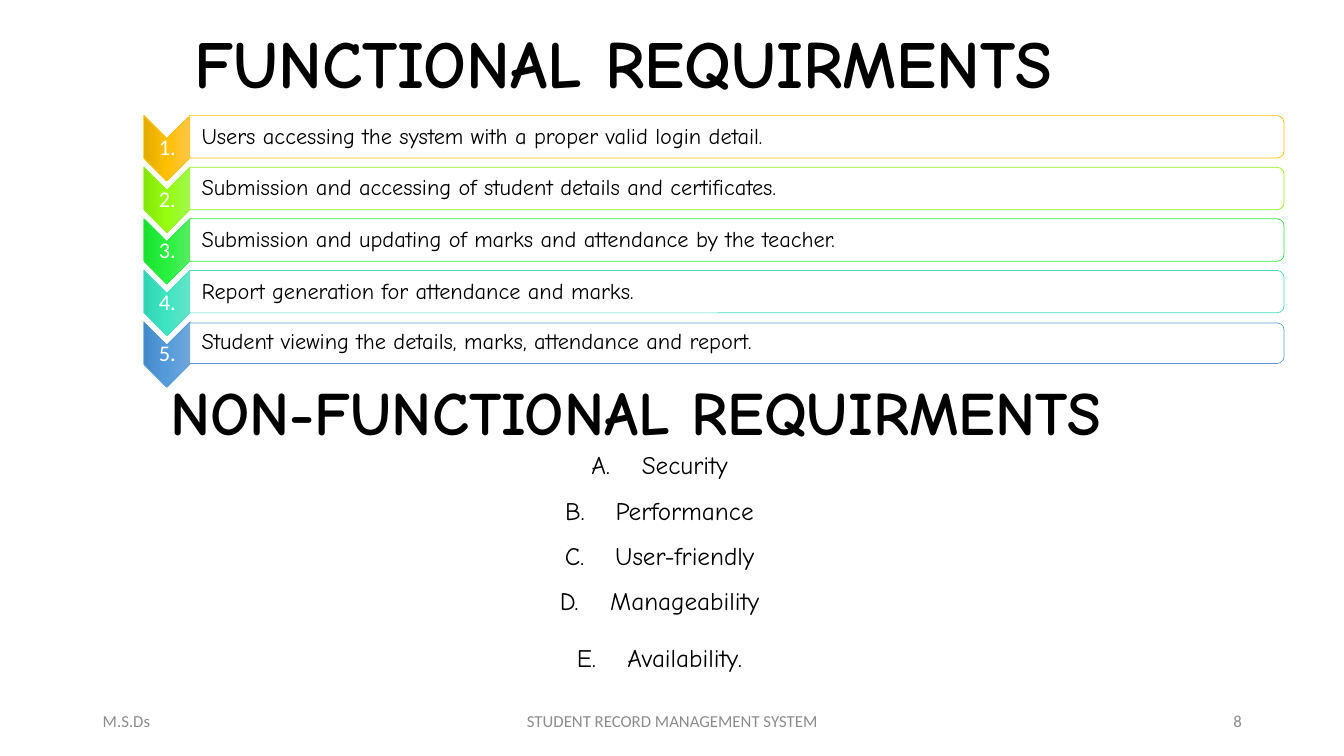
from copy import deepcopy

from pptx import Presentation
from pptx.dml.color import RGBColor
from pptx.enum.shapes import MSO_SHAPE
from pptx.enum.text import MSO_ANCHOR, MSO_AUTO_SIZE, PP_ALIGN
from pptx.oxml import parse_xml
from pptx.oxml.ns import nsdecls, qn
from pptx.util import Cm, Pt

CHEVRON, BAR = MSO_SHAPE.CHEVRON, MSO_SHAPE.ROUND_2_SAME_RECTANGLE
TOP, MIDDLE = MSO_ANCHOR.TOP, MSO_ANCHOR.MIDDLE
LEFT, CENTER, RIGHT = PP_ALIGN.LEFT, PP_ALIGN.CENTER, PP_ALIGN.RIGHT
NO_FIT = MSO_AUTO_SIZE.NONE

COLORS = {"text": "000000", "paper": "FFFFFF", "footer": "8C8C8C"}
HEADING_FONT, PLAIN_FONT = "Comic Neue", "Calibri"

STEPS = [
    ("Users accessing the system with a proper valid login detail.",
     "FFC000", ("FFC64B", "FFC000", "E3AB00")),
    ("Submission and accessing of student details and certificates.",
     "94F319", ("A0F74E", "96FE0E", "85E509")),
    ("Submission and updating of marks and attendance by the teacher.",
     "30E845", ("56EC62", "27F13E", "18E02F")),
    ("Report generation for attendance and marks.",
     "46DEBF", ("63E3C6", "3FE5C3", "2FD4B2")),
    ("Student viewing the details, marks, attendance and report.",
     "5B9BD5", ("71A6DB", "559BDB", "448ACA")),
]
QUALITIES = ["Security", "Performance", "User-friendly", "Manageability", "Availability."]
FOOTERS = [
    ("M.S.Ds", 2.34, 7.62, LEFT),
    ("STUDENT RECORD MANAGEMENT SYSTEM", 11.23, 11.43, CENTER),
    ("8", 23.93, 7.62, RIGHT),
]
STEP_PITCH = 1.3


def rgb(value):
    return RGBColor.from_string(value)


def apply(target, values):
    for name, value in values.items():
        setattr(target, name, value)


class SlideBuilder:
    def __init__(self, prs):
        self.slide = prs.slides.add_slide(prs.slide_layouts[1])

    def place(self, sp, box):
        apply(sp, dict(zip(("left", "top", "width", "height"), map(Cm, box))))

    def fill_text(self, sp, lines, size, font=HEADING_FONT, color="text", bold=False,
                  align=LEFT, spacing=0.9, anchor=TOP, insets=None):
        tf = sp.text_frame
        apply(tf, {"word_wrap": True, "auto_size": NO_FIT, "vertical_anchor": anchor})
        if insets:
            names = ("margin_left", "margin_top", "margin_right", "margin_bottom")
            apply(tf, dict(zip(names, map(Cm, insets))))
        tf.text = "\n".join(lines)
        for p in tf.paragraphs:
            apply(p, {"alignment": align, "line_spacing": spacing,
                      "space_before": Pt(0), "space_after": Pt(0)})
            for r in p.runs:
                apply(r.font, {"name": font, "size": Pt(size), "bold": bold})
                r.font.color.rgb = rgb(COLORS[color])
        return tf

    def text(self, box, line, size, **style):
        sp = self.slide.shapes.add_textbox(*map(Cm, box))
        self.fill_text(sp, [line], size, **style)

    def title(self, box, line, size):
        sp = self.slide.shapes.title
        self.place(sp, box)
        self.fill_text(sp, [line], size, bold=True)

    def lettered_list(self, box, lines, size):
        sp = self.slide.placeholders[1]
        self.place(sp, box)
        tf = self.fill_text(sp, lines, size, align=CENTER, spacing=1.5)
        for p in tf.paragraphs:
            pPr = p._p.get_or_add_pPr()
            pPr.set("marL", str(Cm(1.27)))
            pPr.set("indent", str(-Cm(1.27)))
            pPr.append(parse_xml(
                f'<a:buFont {nsdecls("a")} typeface="+mj-lt"/>'))
            pPr.append(parse_xml(
                f'<a:buAutoNum {nsdecls("a")} type="alphaUcPeriod"/>'))
        for p in tf.paragraphs[-2:]:
            p.space_after = Pt(8)

    def turned_shape(self, kind, box, line):
        sp = self.slide.shapes.add_shape(kind, *map(Cm, box))
        sp.rotation = 90
        sp.shadow.inherit = False
        sp.line.color.rgb = rgb(line)
        sp.line.width = Pt(0.5)
        return sp

    def chevron(self, box, line, shades):
        sp = self.turned_shape(CHEVRON, box, line)
        sp.fill.gradient()
        sp.fill.gradient_angle = 270
        gs_list = sp._element.spPr.find(".//" + qn("a:gsLst"))
        gs_list.append(deepcopy(gs_list[0]))
        for i, (stop, shade) in enumerate(zip(sp.fill.gradient_stops, shades)):
            stop.position = i / 2
            stop.color.rgb = rgb(shade)

    def bar(self, box, line):
        sp = self.turned_shape(BAR, box, line)
        sp.fill.solid()
        sp.fill.fore_color.rgb = rgb(COLORS["paper"])

    def step(self, index, line, accent, shades):
        dy = index * STEP_PITCH
        depth = 1.02 if index == len(STEPS) - 1 else 1.07
        self.chevron((3.38, 3.15 + dy, 1.65, 1.17), accent, shades)
        self.text((3.63, 3.48 + dy, 1.17, 0.51), f"{index + 1}.", 16, font=PLAIN_FONT,
                  color="paper", align=CENTER, anchor=MIDDLE, insets=[0.03] * 4)
        self.bar((18.57 - depth / 2, -10.34 + dy, depth, 27.58), accent)
        self.text((4.78, 2.97 + dy, 27.53, depth - 0.1), line, 16,
                  anchor=MIDDLE, insets=(0.3, 0.03, 0.03, 0.03))


def main():
    prs = Presentation()
    apply(prs, {"slide_width": Cm(33.87), "slide_height": Cm(19.05)})
    s = SlideBuilder(prs)
    for line, left, width, align in FOOTERS:
        s.text((left, 17.65, width, 1.02), line, 12, font=PLAIN_FONT,
               color="footer", align=align, spacing=1.0, anchor=MIDDLE)
    for index, step in enumerate(STEPS):
        s.step(index, *step)
    s.title((4.65, 0.64, 29.21, 2.29), "FUNCTIONAL REQUIRMENTS", 48)
    s.text((4.04, 9.5, 26.92, 2.29), "NON-FUNCTIONAL REQUIRMENTS", 44, bold=True)
    s.lettered_list((8.15, 10.82, 16.94, 6.22), QUALITIES, 18)
    prs.save("out.pptx")


if __name__ == "__main__":
    main()
